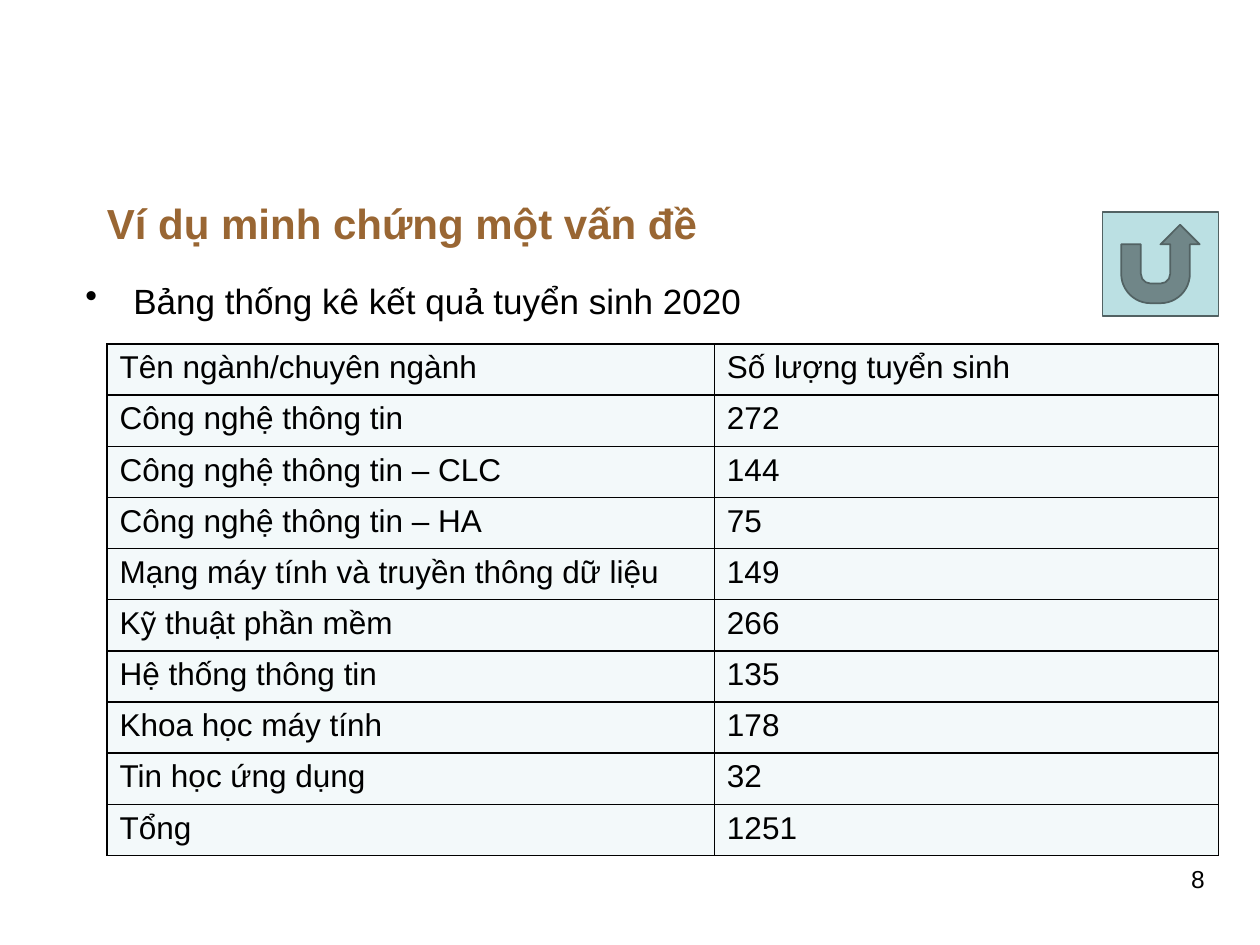
from pptx import Presentation
from pptx.dml.color import RGBColor
from pptx.enum.shapes import MSO_SHAPE as Shape
from pptx.enum.text import MSO_ANCHOR as Anchor, PP_ALIGN as Align
from pptx.oxml import parse_xml
from pptx.oxml.ns import nsdecls
from pptx.util import Inches, Pt

ADMISSIONS = [
    ("Tên ngành/chuyên ngành", "Số lượng tuyển sinh"),
    ("Công nghệ thông tin", "272"),
    ("Công nghệ thông tin – CLC", "144"),
    ("Công nghệ thông tin – HA", "75"),
    ("Mạng máy tính và truyền thông dữ liệu", "149"),
    ("Kỹ thuật phần mềm", "266"),
    ("Hệ thống thông tin", "135"),
    ("Khoa học máy tính", "178"),
    ("Tin học ứng dụng", "32"),
    ("Tổng", "1251"),
]


def color(hex_code):
    return RGBColor.from_string(hex_code)


class SlideBuilder:
    """Draws on one slide; boxes are (left, top, width, height) in percent of it."""

    font_name = "Arial"
    ink = "000000"
    cell_fill = "F3F9FA"
    button_fill = "BBE0E3"
    button_line = "526263"

    def __init__(self, deck):
        self.width, self.height = deck.slide_width, deck.slide_height
        self.slide = deck.slides.add_slide(deck.slide_layouts[6])

    def place(self, box):
        sides = (self.width, self.height) * 2
        return [round(share * side / 100) for share, side in zip(box, sides)]

    def fill_frame(self, frame, words, hex_code=ink, align=Align.LEFT, **font_format):
        paragraph = frame.paragraphs[0]
        paragraph.alignment = align
        run = paragraph.add_run()
        run.text = words
        run.font.color.rgb = color(hex_code)
        for name, value in {"name": self.font_name, **font_format}.items():
            setattr(run.font, name, value)
        return paragraph

    def text(self, box, words, anchor=Anchor.TOP, **style):
        frame = self.slide.shapes.add_textbox(*self.place(box)).text_frame
        frame.word_wrap = True
        frame.vertical_anchor = anchor
        return self.fill_frame(frame, words, **style)

    def bullet(self, box, words, **style):
        paragraph = self.text(box, words, **style)
        paragraph.space_before = Pt(4)
        properties = paragraph._p.get_or_add_pPr()
        indent = Inches(0.38)
        properties.set("marL", str(indent))
        properties.set("indent", str(-indent))
        properties.append(parse_xml(f'<a:buChar {nsdecls("a")} char="•"/>'))

    def border(self, cell):
        properties = cell._tc.get_or_add_tcPr()
        for position, side in enumerate("LRTB"):
            properties.insert(position, parse_xml(
                f'<a:ln{side} {nsdecls("a")} w="{Pt(1)}"><a:solidFill>'
                f'<a:srgbClr val="{self.ink}"/></a:solidFill></a:ln{side}>'))

    def table(self, box, rows, column_shares, **style):
        left, top, width, height = self.place(box)
        grid = self.slide.shapes.add_table(
            len(rows), len(column_shares), left, top, width, height).table
        for column, share in zip(grid.columns, column_shares):
            column.width = round(width * share / sum(column_shares))
        for grid_row, entries in zip(grid.rows, rows):
            for cell, entry in zip(grid_row.cells, entries):
                cell.fill.solid()
                cell.fill.fore_color.rgb = color(self.cell_fill)
                self.border(cell)
                self.fill_frame(cell.text_frame, entry, **style)

    def button(self, box, kind):
        button = self.slide.shapes.add_shape(kind, *self.place(box))
        button.shadow.inherit = False
        button.fill.solid()
        button.fill.fore_color.rgb = color(self.button_fill)
        button.line.color.rgb = color(self.button_line)
        button.line.width = Pt(1)


def main():
    deck = Presentation()
    deck.slide_width, deck.slide_height = Inches(10), Inches(7.5)
    page = SlideBuilder(deck)
    page.text((7.5, 16.67, 77.5, 13.73), "Ví dụ minh chứng một vấn đề",
              anchor=Anchor.MIDDLE, hex_code="996633", size=Pt(24), bold=True)
    page.bullet((5.8, 28.93, 90, 68.4), "Bảng thống kê kết quả tuyển sinh 2020",
                size=Pt(20))
    page.table((8.5, 36.4, 88.2, 54.13), ADMISSIONS, (4.82, 4), size=Pt(18))
    page.text((73.3, 90.8, 23.3, 8.13), "8", align=Align.RIGHT, size=Pt(14))
    page.button((87.5, 22.4, 9.2, 11.07), Shape.ACTION_BUTTON_RETURN)
    deck.save("out.pptx")


if __name__ == "__main__":
    main()
